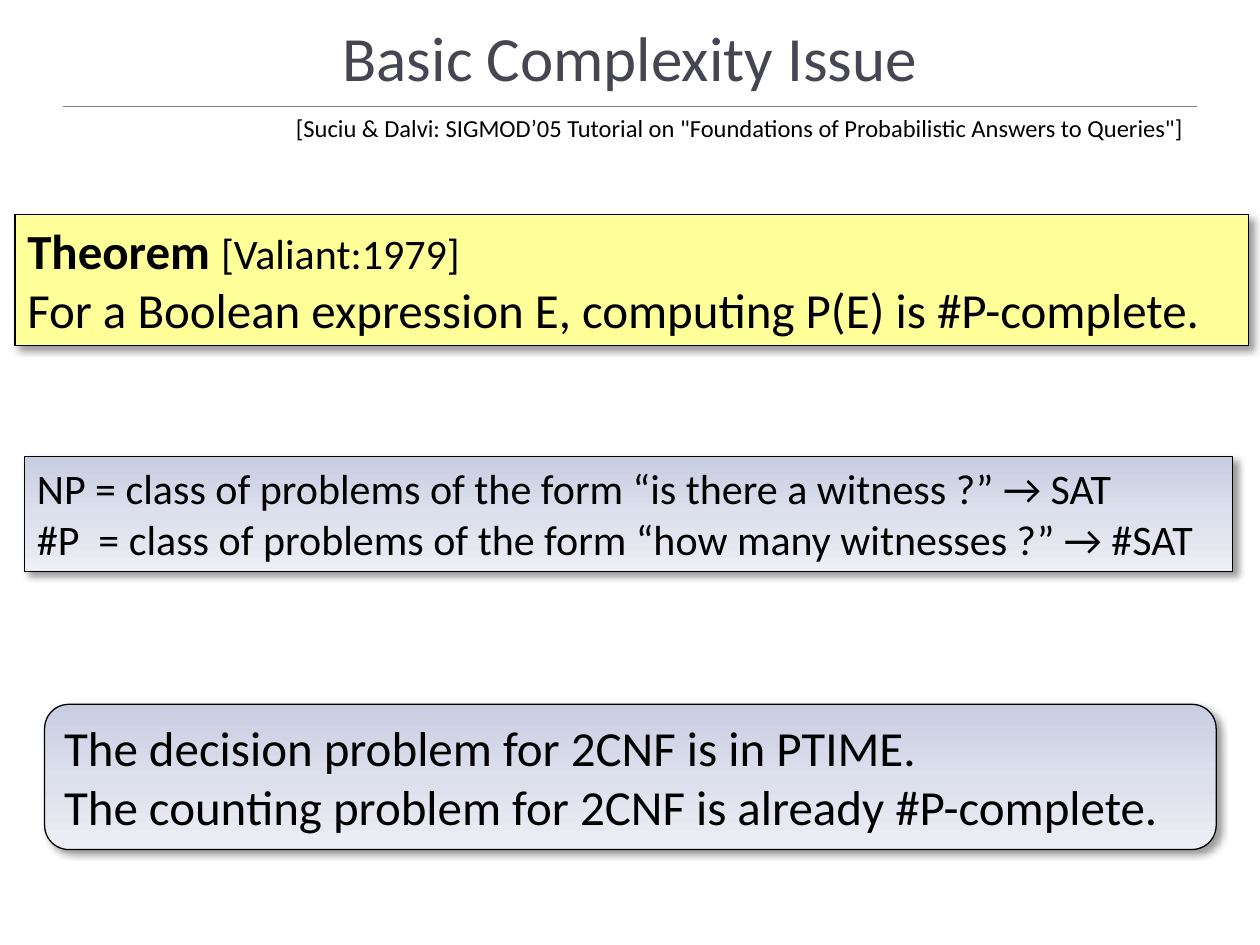
from copy import deepcopy
from dataclasses import dataclass

from lxml.etree import SubElement
from pptx import Presentation
from pptx.dml.color import RGBColor
from pptx.enum.shapes import MSO_CONNECTOR, MSO_SHAPE
from pptx.enum.text import MSO_ANCHOR, MSO_AUTO_SIZE, PP_ALIGN
from pptx.oxml.ns import qn
from pptx.util import Pt


@dataclass(frozen=True)
class Theme:
    font: str = "Calibri"
    title: str = "464653"
    ink: str = "000000"
    rule: str = "808080"
    theorem: str = "FFFF99"
    gradient: tuple = ("C8CDE1", "DCDFEC", "EDEFF5")
    title_size: int = 36
    large: int = 28
    medium: int = 24
    small: int = 14


THEME = Theme()


def rgb(color):
    return RGBColor.from_string(color)


def add_shadow(shape):
    """Give a shape or connector a soft shadow to the lower right."""
    effects = SubElement(shape.element.spPr, qn("a:effectLst"))
    shadow = SubElement(effects, qn("a:outerShdw"), blurRad=str(Pt(4)), dist=str(Pt(3)),
                        dir=str(45 * 60000), algn="tl", rotWithShape="0")
    color = SubElement(shadow, qn("a:srgbClr"), val=THEME.ink)
    SubElement(color, qn("a:alpha"), val="40000")


def fill_gradient(shape, colors):
    """Fill from top to bottom with three evenly spaced colours."""
    shape.fill.gradient()
    shape.fill.gradient_angle = 270
    stop_list = shape.element.spPr.find(".//" + qn("a:gsLst"))
    stop_list.append(deepcopy(stop_list[-1]))
    for index, (stop, color) in enumerate(zip(shape.fill.gradient_stops, colors)):
        stop.position = index / (len(colors) - 1)
        stop.color.rgb = rgb(color)


def add_text(paragraph, text, *, size, color=THEME.ink, bold=False, align=PP_ALIGN.LEFT):
    """Append text to a paragraph; each newline becomes a line break."""
    paragraph.alignment = align
    for index, line in enumerate(text.split("\n")):
        if index:
            paragraph.add_line_break()
        if line:
            run = paragraph.add_run()
            run.text = line
            run.font.name = THEME.font
            run.font.size = Pt(size)
            run.font.bold = bold
            run.font.color.rgb = rgb(color)


def set_frame(shape, *, wrap, anchor=MSO_ANCHOR.TOP, grow=True):
    frame = shape.text_frame
    frame.word_wrap = wrap
    frame.vertical_anchor = anchor
    frame.auto_size = MSO_AUTO_SIZE.SHAPE_TO_FIT_TEXT if grow else MSO_AUTO_SIZE.NONE
    return frame


def add_panel(slide, box, *, kind=MSO_SHAPE.RECTANGLE, fill=None, wrap=False):
    """Add an outlined, shadowed panel, with a gradient unless a fill is given."""
    panel = slide.shapes.add_shape(kind, *map(Pt, box))
    if fill:
        panel.fill.solid()
        panel.fill.fore_color.rgb = rgb(fill)
    else:
        fill_gradient(panel, THEME.gradient)
    panel.line.color.rgb = rgb(THEME.ink)
    panel.line.width = Pt(0.75)
    add_shadow(panel)
    return set_frame(panel, wrap=wrap)


def add_header(slide, box):
    left, top, width, height = box
    rule_y = top + 73.5
    rule = slide.shapes.add_connector(
        MSO_CONNECTOR.STRAIGHT, Pt(left), Pt(rule_y), Pt(left + width), Pt(rule_y))
    rule.line.color.rgb = rgb(THEME.rule)
    rule.line.width = Pt(0.25)
    add_shadow(rule)
    title = slide.shapes.add_textbox(*map(Pt, box))
    frame = set_frame(title, wrap=True, anchor=MSO_ANCHOR.MIDDLE, grow=False)
    add_text(frame.paragraphs[0], "Basic Complexity Issue", size=THEME.title_size,
             color=THEME.title, align=PP_ALIGN.CENTER)


def add_citation(slide, box):
    citation = slide.shapes.add_textbox(*map(Pt, box))
    frame = set_frame(citation, wrap=False, anchor=MSO_ANCHOR.MIDDLE)
    add_text(frame.paragraphs[0],
             '[Suciu & Dalvi: SIGMOD’05 Tutorial on "Foundations of Probabilistic '
             'Answers to Queries"]', size=THEME.small)


def add_theorem(slide, box):
    paragraph = add_panel(slide, box, fill=THEME.theorem).paragraphs[0]
    add_text(paragraph, "Theorem ", size=THEME.large, bold=True)
    add_text(paragraph, "[Valiant:1979]\n", size=THEME.medium)
    add_text(paragraph, "For a Boolean expression E, computing P(E) is #P-complete.",
             size=THEME.large)


def add_classes(slide, box):
    frame = add_panel(slide, box, wrap=True)
    add_text(frame.paragraphs[0],
             "NP = class of problems of the form “is there a witness ?” → SAT",
             size=THEME.medium)
    add_text(frame.add_paragraph(),
             "#P  = class of problems of the form “how many witnesses ?” → #SAT",
             size=THEME.medium)


def add_conclusion(slide, box):
    frame = add_panel(slide, box, kind=MSO_SHAPE.ROUNDED_RECTANGLE)
    add_text(frame.paragraphs[0],
             "The decision problem for 2CNF is in PTIME.\n"
             "The counting problem for 2CNF is already #P-complete.", size=THEME.large)


def main():
    presentation = Presentation()
    presentation.slide_width, presentation.slide_height = Pt(720), Pt(540)
    slide = presentation.slides.add_slide(presentation.slide_layouts[6])
    add_header(slide, (36, -13, 648, 90))
    add_theorem(slide, (8.5, 122.5, 705, 75))
    add_classes(slide, (14, 261, 690.5, 65.5))
    add_conclusion(slide, (25.5, 402.5, 669.5, 83))
    add_citation(slide, (162, 60.5, 542, 24.5))
    presentation.save("out.pptx")


if __name__ == "__main__":
    main()
